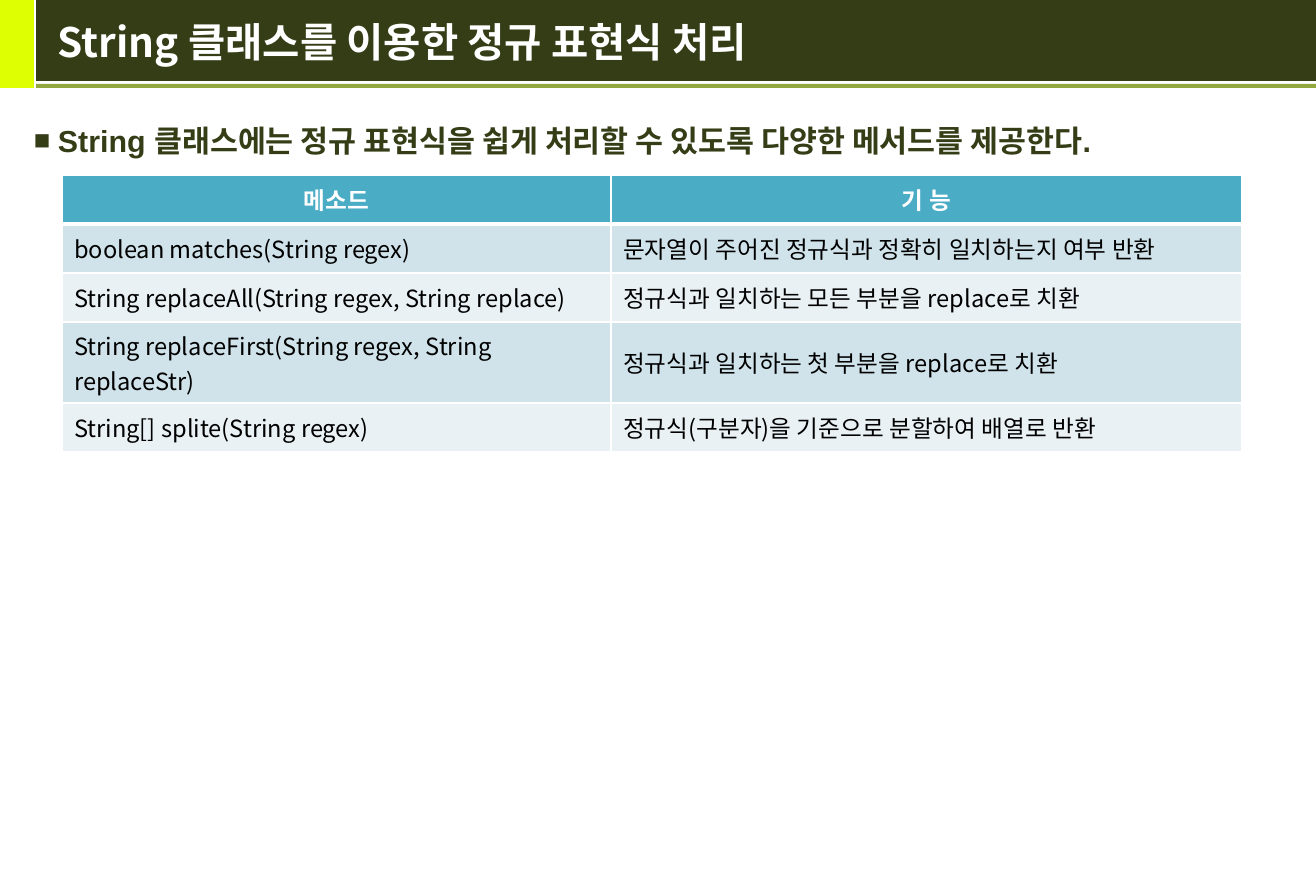
"""Builds a slide on regular expression methods of the String class."""
import pptx
import pptx.dml.color
import pptx.enum.shapes
import pptx.enum.text
import pptx.oxml
import pptx.oxml.ns
import pptx.util
from lxml import etree

PX = 7526
KOREAN = "Noto Sans CJK KR"
COLORS = {
    "lime": "DEFF02",
    "olive": "353D17",
    "moss": "93A73F",
    "teal": "4BACC6",
    "band": "D0E3EA",
    "pale": "E9F1F5",
    "white": "FFFFFF",
    "black": "000000",
}


def rgb(name):
    return pptx.dml.color.RGBColor.from_string(COLORS[name])


def write(para, text, color, **formats):
    span = para.add_run()
    span.text = text
    for key, value in formats.items():
        setattr(span.font, key, value)
    span.font.color.rgb = rgb(color)
    east_asian = etree.SubElement(span.font._element, pptx.oxml.ns.qn("a:ea"))
    east_asian.set("typeface", KOREAN)


deck = pptx.Presentation()
deck.slide_width, deck.slide_height = 1316 * PX, 885 * PX
page = deck.slides.add_slide(deck.slide_layouts[6])

header_bars = [
    ("lime", 0, 0, 34, 88),
    ("olive", 36, 0, 1280, 81),
    ("moss", 36, 84, 1280, 4),
]
for color, *place in header_bars:
    bar = page.shapes.add_shape(
        pptx.enum.shapes.MSO_SHAPE.RECTANGLE, *[length * PX for length in place]
    )
    bar.shadow.inherit = False
    bar.fill.solid()
    bar.fill.fore_color.rgb = rgb(color)
    bar.line.fill.background()

title_box = page.shapes.add_textbox(46 * PX, 0, 1254 * PX, 83 * PX)
title_box.text_frame.word_wrap = True
title_box.text_frame.vertical_anchor = pptx.enum.text.MSO_ANCHOR.MIDDLE
write(title_box.text_frame.paragraphs[0], "String 클래스를 이용한 정규 표현식 처리", "white",
      name=KOREAN, size=pptx.util.Pt(24), bold=True)

body_box = page.shapes.add_textbox(22 * PX, 109 * PX, 1258 * PX, 756 * PX)
body_box.text_frame.word_wrap = True
para = body_box.text_frame.paragraphs[0]
para.line_spacing = 1.2
properties = para._p.get_or_add_pPr()
properties.set("marL", str(24 * PX))
properties.set("indent", str(-24 * PX))
for bullet in (
    f'<a:buClr %s><a:srgbClr val="{COLORS["olive"]}"/></a:buClr>',
    '<a:buSzPct %s val="90000"/>',
    '<a:buFont %s typeface="Arial"/>',
    '<a:buChar %s char="■"/>',
):
    properties.append(pptx.oxml.parse_xml(bullet % pptx.oxml.ns.nsdecls("a")))
write(para, "String 클래스에는 정규 표현식을 쉽게 처리할 수 있도록 다양한 메서드를 제공한다.", "olive",
      name="Arial", size=pptx.util.Pt(18), bold=True)

methods = [
    ("메소드", "기 능"),
    ("boolean matches(String regex)", "문자열이 주어진 정규식과 정확히 일치하는지 여부 반환"),
    ("String replaceAll(String regex, String replace)", "정규식과 일치하는 모든 부분을 replace로 치환"),
    ("String replaceFirst(String regex, String replaceStr)", "정규식과 일치하는 첫 부분을 replace로 치환"),
    ("String[] splite(String regex)", "정규식(구분자)을 기준으로 분할하여 배열로 반환"),
]
column_widths = [549, 631]
row_heights = [49, 49, 49, 81, 49]
table = page.shapes.add_table(
    len(methods), 2, 62 * PX, 175 * PX, sum(column_widths) * PX, sum(row_heights) * PX
).table
for column, width in zip(table.columns, column_widths):
    column.width = width * PX
for row, height in zip(table.rows, row_heights):
    row.height = height * PX

for row_index, texts in enumerate(methods):
    is_header = row_index == 0
    fill = "teal" if is_header else ("pale", "band")[row_index % 2]
    for column_index, text in enumerate(texts):
        cell = table.cell(row_index, column_index)
        cell.vertical_anchor = pptx.enum.text.MSO_ANCHOR.MIDDLE
        edges = {"L": 1, "R": 1, "T": 3 if row_index == 1 else 1, "B": 3 if is_header else 1}
        for side, points in edges.items():
            cell._tc.get_or_add_tcPr().append(pptx.oxml.parse_xml(
                f'<a:ln{side} {pptx.oxml.ns.nsdecls("a")} w="{pptx.util.Pt(points)}">'
                f'<a:solidFill><a:srgbClr val="{COLORS["white"]}"/></a:solidFill></a:ln{side}>'
            ))
        cell.fill.solid()
        cell.fill.fore_color.rgb = rgb(fill)
        para = cell.text_frame.paragraphs[0]
        if is_header:
            para.alignment = pptx.enum.text.PP_ALIGN.CENTER
        write(para, text, "white" if is_header else "black",
              name=KOREAN, size=pptx.util.Pt(14), bold=is_header)

deck.save("out.pptx")
